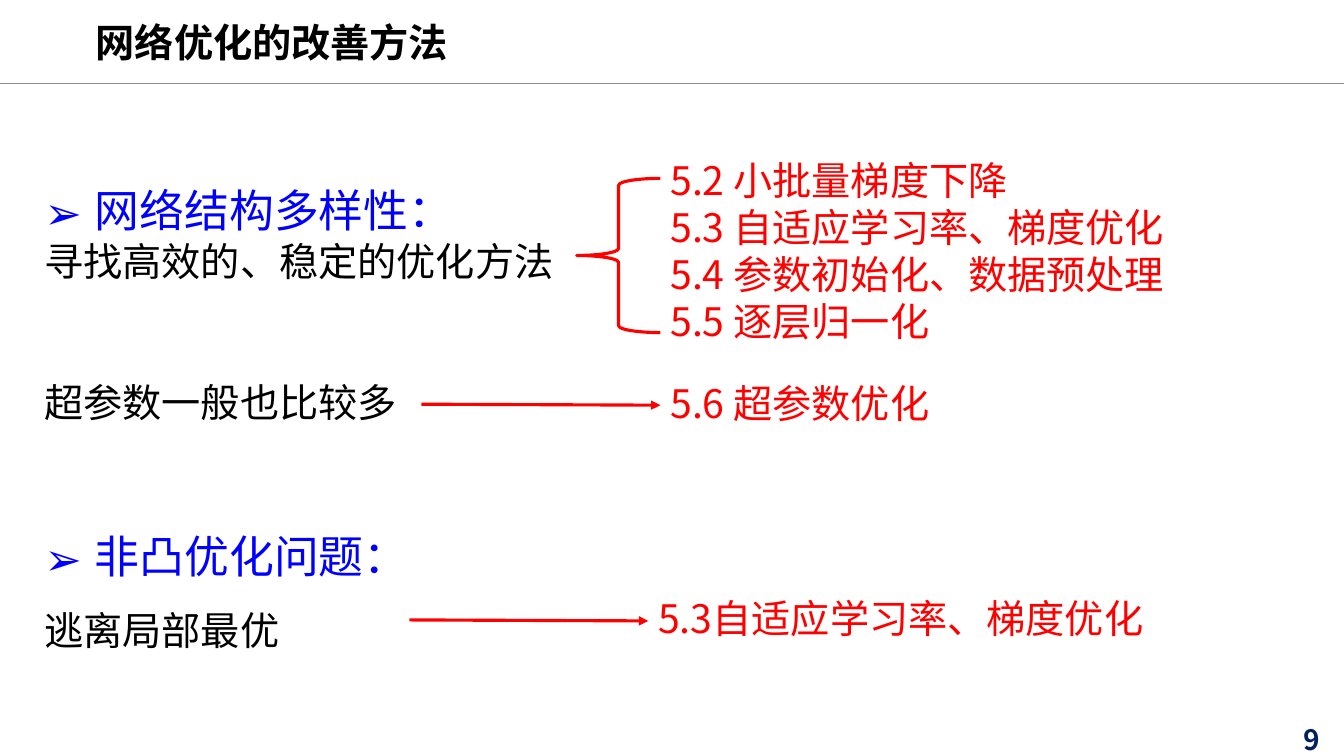
from dataclasses import dataclass

from lxml.etree import SubElement
from pptx import Presentation
from pptx.dml.color import RGBColor
from pptx.enum.shapes import MSO_CONNECTOR as CONNECTOR, MSO_SHAPE as SHAPE
from pptx.enum.text import MSO_ANCHOR as ANCHOR, MSO_AUTO_SIZE as AUTO_SIZE, PP_ALIGN as ALIGN
from pptx.oxml.ns import qn
from pptx.util import Emu, Pt

EMU_PER_PX = 9144  # 100 px to the inch


@dataclass(frozen=True)
class Theme:
    font: str = "Noto Sans CJK SC"
    black: str = "000000"
    blue: str = "0000FF"
    red: str = "FF0000"
    navy: str = "002060"
    grey: str = "8C8C8C"
    heading: int = 32
    text: int = 28
    number: int = 20
    line_height: float = 1.2
    stroke: float = 2.25


def px(length):
    return Emu(length * EMU_PER_PX)


class SlideBuilder:
    def __init__(self, slide, theme):
        self.slide = slide
        self.theme = theme

    def place(self, shape, box, anchor=ANCHOR.TOP, wrap=True):
        """Move a text shape to its box and return its text frame."""
        shape.left, shape.top, shape.width, shape.height = map(px, box)
        frame = shape.text_frame
        frame.auto_size = AUTO_SIZE.NONE
        frame.vertical_anchor = anchor
        frame.word_wrap = wrap
        return frame

    def paragraph(self, frame, text, size, color, bold=False, bullet=None, spacing=1.0, before=0):
        paragraph = frame.paragraphs[0]
        if paragraph.runs:
            paragraph = frame.add_paragraph()
        properties = paragraph._p.get_or_add_pPr()
        indent = px(50) if bullet else 0
        properties.set("marL", str(indent))
        properties.set("indent", str(-indent))
        if bullet:
            SubElement(properties, qn("a:buFont"), typeface=self.theme.font)
            SubElement(properties, qn("a:buChar"), char=bullet)
        else:
            SubElement(properties, qn("a:buNone"))
        paragraph.alignment = ALIGN.LEFT
        paragraph.line_spacing = Pt(size * self.theme.line_height * spacing)
        paragraph.space_before = Pt(before)
        paragraph.space_after = Pt(0)
        run = paragraph.add_run()
        run.text = text
        run.font.size = Pt(size)
        run.font.bold = bold
        run.font.name = self.theme.font
        run.font.color.rgb = RGBColor.from_string(color)
        SubElement(run._r.get_or_add_rPr(), qn("a:ea"), typeface=self.theme.font)

    def title(self, text, box):
        frame = self.place(self.slide.shapes.title, box, ANCHOR.MIDDLE)
        self.paragraph(frame, text, self.theme.text, self.theme.black, bold=True)

    def topic(self, index, box, heading):
        """Fill a body placeholder with a bulleted heading; return its frame."""
        frame = self.place(self.slide.placeholders[index], box)
        self.paragraph(frame, heading, self.theme.heading, self.theme.blue, bullet="➢", spacing=1.5)
        return frame

    def detail(self, frame, text, **layout):
        self.paragraph(frame, text, self.theme.text, self.theme.black, **layout)

    def sections(self, lines, box):
        frame = self.place(self.slide.shapes.add_textbox(0, 0, 0, 0), box)
        for line in lines:
            self.paragraph(frame, line, self.theme.text, self.theme.red)

    def number(self, text, box):
        frame = self.place(self.slide.shapes.add_textbox(0, 0, 0, 0), box, wrap=False)
        self.paragraph(frame, text, self.theme.number, self.theme.navy, bold=True)

    def brace(self, box):
        shape = self.slide.shapes.add_shape(SHAPE.LEFT_BRACE, *map(px, box))
        shape.shadow.inherit = False
        shape.fill.background()
        shape.line.color.rgb = RGBColor.from_string(self.theme.red)
        shape.line.width = Pt(self.theme.stroke)

    def line(self, start, end, color, width, arrow=False):
        connector = self.slide.shapes.add_connector(CONNECTOR.STRAIGHT, *map(px, start + end))
        connector.line.color.rgb = RGBColor.from_string(color)
        connector.line.width = Pt(width)
        if arrow:
            SubElement(connector.line._get_or_add_ln(), qn("a:tailEnd"), type="triangle")
        SubElement(connector._element.spPr, qn("a:effectLst"))

    def arrow_to_section(self, section, left, top):
        """Draw an arrow whose head meets the section text beside it."""
        self.line((left, top + 30), (left + 237, top + 31), self.theme.red, self.theme.stroke, arrow=True)
        self.sections([section], (left + 237, top, 558, 104))


def main():
    presentation = Presentation()
    presentation.slide_width, presentation.slide_height = px(1333), px(750)
    two_content_layout = presentation.slide_layouts[3]
    theme = Theme()
    builder = SlideBuilder(presentation.slides.add_slide(two_content_layout), theme)

    builder.line((0, 83), (1333, 83), theme.grey, 1)
    builder.number("9", (1283, 712, 54, 44))
    builder.title("网络优化的改善方法", (85, 13, 1220, 57))

    structure = builder.topic(1, (34, 150, 948, 600), "网络结构多样性：")
    builder.detail(structure, "寻找高效的、稳定的优化方法")
    two_lines = 2 * theme.text * theme.line_height
    builder.detail(structure, "超参数一般也比较多", before=two_lines)

    non_convex = builder.topic(2, (34, 493, 667, 153), "非凸优化问题：")
    builder.detail(non_convex, "逃离局部最优", spacing=1.5)

    builder.sections(
        ["5.2 小批量梯度下降", "5.3 自适应学习率、梯度优化", "5.4 参数初始化、数据预处理", "5.5 逐层归一化"],
        (655, 150, 558, 246),
    )
    builder.brace((572, 177, 83, 153))
    builder.arrow_to_section("5.6 超参数优化", 418, 371)
    builder.arrow_to_section("5.3自适应学习率、梯度优化", 406, 585)

    presentation.save("out.pptx")


if __name__ == "__main__":
    main()
